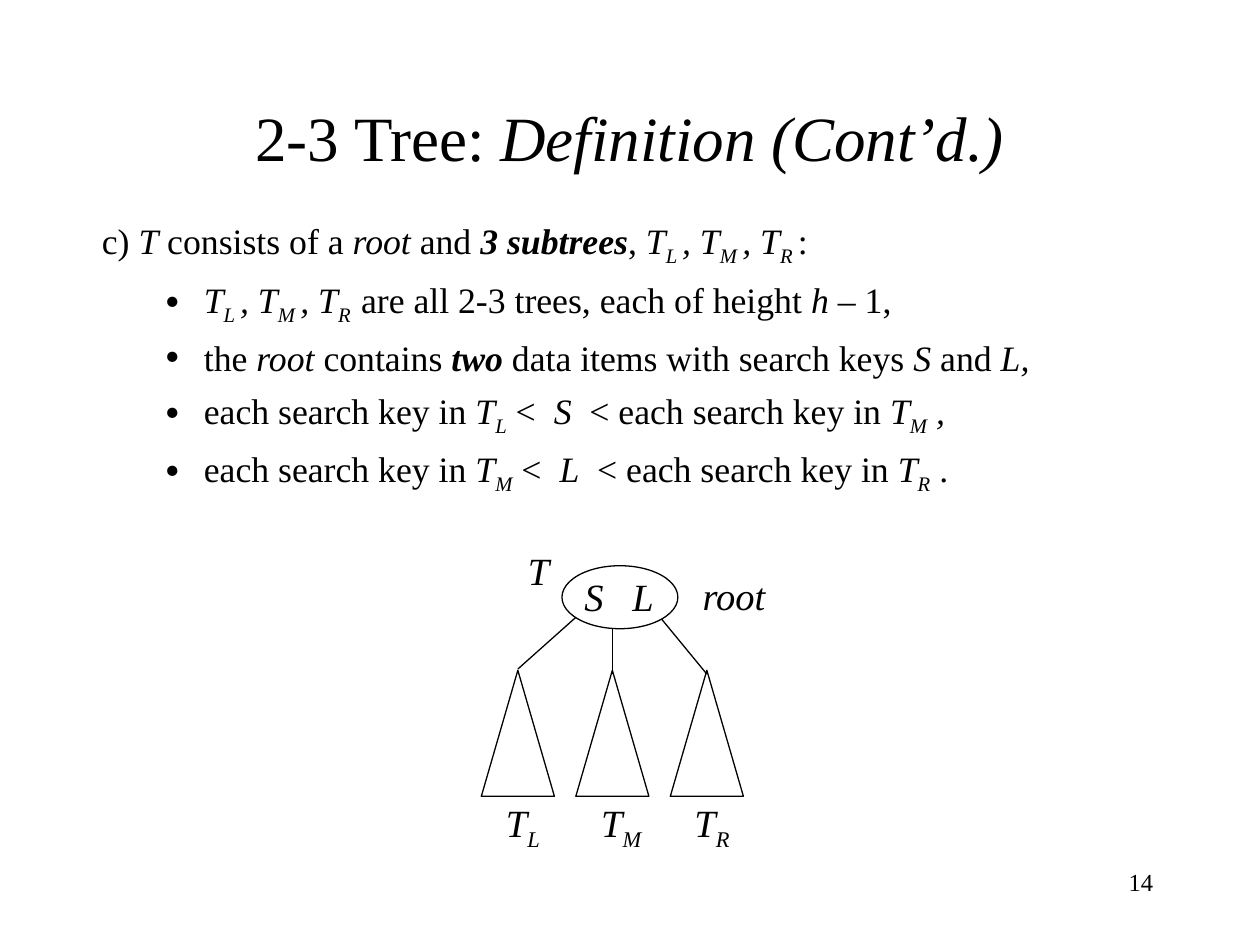
import pptx
import pptx.dml.color
import pptx.enum.shapes
import pptx.enum.text
import pptx.oxml.ns
import pptx.util
import lxml.etree
from pptx.util import Inches

FONT = "Times New Roman"
BLACK = "000000"
WHITE = "FFFFFF"
ALIGN = pptx.enum.text.PP_ALIGN
ANCHOR = pptx.enum.text.MSO_ANCHOR
SHAPES = pptx.enum.shapes.MSO_SHAPE

# Each run is (text, style): i italic, b bold, s subscript.
DEFINITION = [("c) ", ""), ("T", "i"), (" consists of a ", ""), ("root", "i"), (" and ", ""),
              ("3 subtrees", "bi"), (", ", ""), ("T", "i"), ("L ", "is"), (", T", "i"),
              ("M ", "is"), (", T", "i"), ("R ", "is"), (":", "")]
CONDITIONS = [
    [("T", "i"), ("L ", "is"), (", T", "i"), ("M ", "is"), (", T", "i"), ("R  ", "is"),
     ("are all 2-3 trees, each of height ", ""), ("h – ", "i"), ("1,", "")],
    [("the", ""), (" root ", "i"), ("contains ", ""), ("two", "bi"),
     (" data items with search keys ", ""), ("S", "i"), (" and ", ""), ("L,", "i")],
    [("each search key in ", ""), ("T", "i"), ("L", "is"), (" <  ", ""), ("S", "i"),
     ("  < each search key in ", ""), ("T", "i"), ("M", "is"), (" ,", "i")],
    [("each search key in ", ""), ("T", "i"), ("M", "is"), (" <  ", ""), ("L", "i"),
     ("  < each search key in ", ""), ("T", "i"), ("R", "is"), (" .", "")],
]


def color(value):
    return pptx.dml.color.RGBColor.from_string(value)


def add_child(parent, tag, **attributes):
    return lxml.etree.SubElement(parent, pptx.oxml.ns.qn(tag), attributes)


def add_runs(paragraph, runs, size):
    for text, style in runs:
        run = paragraph.add_run()
        run.text = text
        font = run.font
        font.name, font.size = FONT, pptx.util.Pt(size)
        font.color.rgb = color(BLACK)
        font.italic, font.bold = "i" in style, "b" in style
        if "s" in style:
            font._element.set("baseline", "-25000")


def add_text(slide, left, top, width, height, runs, size, align=ALIGN.LEFT,
             anchor=ANCHOR.TOP, wrap=True, tab=None):
    shape = slide.shapes.add_textbox(Inches(left), Inches(top), Inches(width), Inches(height))
    frame = shape.text_frame
    frame.word_wrap, frame.vertical_anchor = wrap, anchor
    paragraph = frame.paragraphs[0]
    paragraph.alignment = align
    if tab:
        tab_list = add_child(paragraph._p.get_or_add_pPr(), "a:tabLst")
        add_child(tab_list, "a:tab", pos=str(Inches(tab)), algn="l")
    add_runs(paragraph, runs, size)
    return shape


def add_outlined_shape(slide, kind, left, top, width, height):
    shape = slide.shapes.add_shape(kind, Inches(left), Inches(top), Inches(width), Inches(height))
    shape.shadow.inherit = False
    shape.fill.solid()
    shape.fill.fore_color.rgb = color(WHITE)
    shape.line.color.rgb = color(BLACK)
    shape.line.width = pptx.util.Pt(0.75)


def add_branch(slide, start, end):
    branch = slide.shapes.add_connector(pptx.enum.shapes.MSO_CONNECTOR.STRAIGHT,
                                        *(Inches(value) for value in start + end))
    branch.line.color.rgb = color(BLACK)
    branch.line.width = pptx.util.Pt(0.75)
    add_child(branch._element.spPr, "a:effectLst")


def add_definition(slide, left, top, width, height):
    size = 20.4
    frame = add_text(slide, left, top, width, height, DEFINITION, size).text_frame
    for runs in CONDITIONS:
        paragraph = frame.add_paragraph()
        paragraph.space_before = pptx.util.Pt(5.5)
        properties = paragraph._p.get_or_add_pPr()
        properties.set("marL", str(Inches(0.81)))
        properties.set("indent", str(Inches(-0.31)))
        add_child(properties, "a:buSzPct", val="120000")
        add_child(properties, "a:buFont", typeface=FONT)
        add_child(properties, "a:buChar", char="•")
        add_runs(paragraph, runs, size)


def add_tree(slide, left, top):
    """Draw the root with its two keys above three labelled subtrees."""
    size = 22
    label = {"size": size, "align": ALIGN.CENTER, "anchor": ANCHOR.MIDDLE, "wrap": False}
    triangle_width, triangle_height, pitch = 0.58, 1, 0.75
    label_width = 0.6
    triangle_top = top + 1.03
    # Subtree name, label centre within its triangle, branch start and end.
    subtrees = [("L", 0.33, (0.75, 0.61), 1.02),
                ("M", 0.36, (1.04, 0.7), 1.06),
                ("R", 0.33, (1.42, 0.61), 1.06)]
    for index, (name, label_center, (start_x, start_y), end_y) in enumerate(subtrees):
        triangle_left = left + index * pitch
        add_outlined_shape(slide, SHAPES.ISOSCELES_TRIANGLE, triangle_left, triangle_top,
                           triangle_width, triangle_height)
        add_text(slide, triangle_left + label_center - label_width / 2, top + 2,
                 label_width, 0.52, [("T", "i"), (name, "is")], **label)
        add_branch(slide, (left + start_x, top + start_y),
                   (triangle_left + triangle_width / 2, top + end_y))
    add_text(slide, left + 0.27, top, 0.37, 0.47, [("T", "i")], **label)
    add_text(slide, left + 1.65, top + 0.2, 0.71, 0.47, [("root", "i")], **label)
    add_outlined_shape(slide, SHAPES.OVAL, left + 0.64, top + 0.2, 0.92, 0.5)
    add_text(slide, left + 0.72, top + 0.21, 0.75, 0.47, [("S\tL", "i")], size,
             anchor=ANCHOR.MIDDLE, tab=0.38)


def main():
    presentation = pptx.Presentation()
    presentation.slide_width, presentation.slide_height = Inches(10), Inches(7.5)
    slide = presentation.slides.add_slide(presentation.slide_layouts[6])
    add_text(slide, 0.75, 0.79, 8.5, 0.58,
             [("2-3 Tree: ", ""), ("Definition (Cont’d.)", "i")], 36,
             align=ALIGN.CENTER, anchor=ANCHOR.MIDDLE)
    add_definition(slide, 0.71, 1.69, 8.58, 2.33)
    add_tree(slide, 3.82, 4.29)
    add_text(slide, 7.17, 6.83, 2.08, 0.5, [("14", "")], 14, align=ALIGN.RIGHT)
    presentation.save("out.pptx")


if __name__ == "__main__":
    main()
